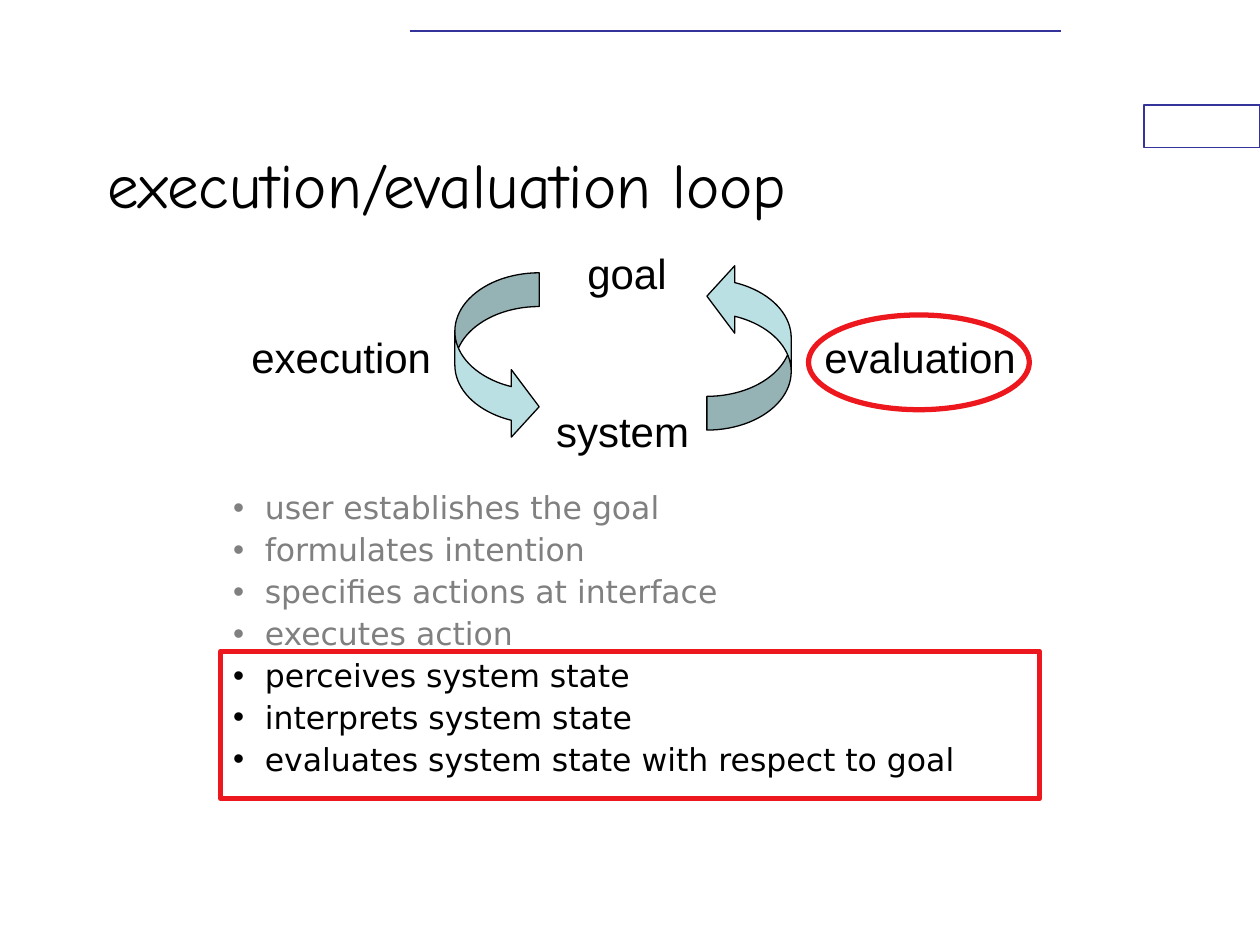
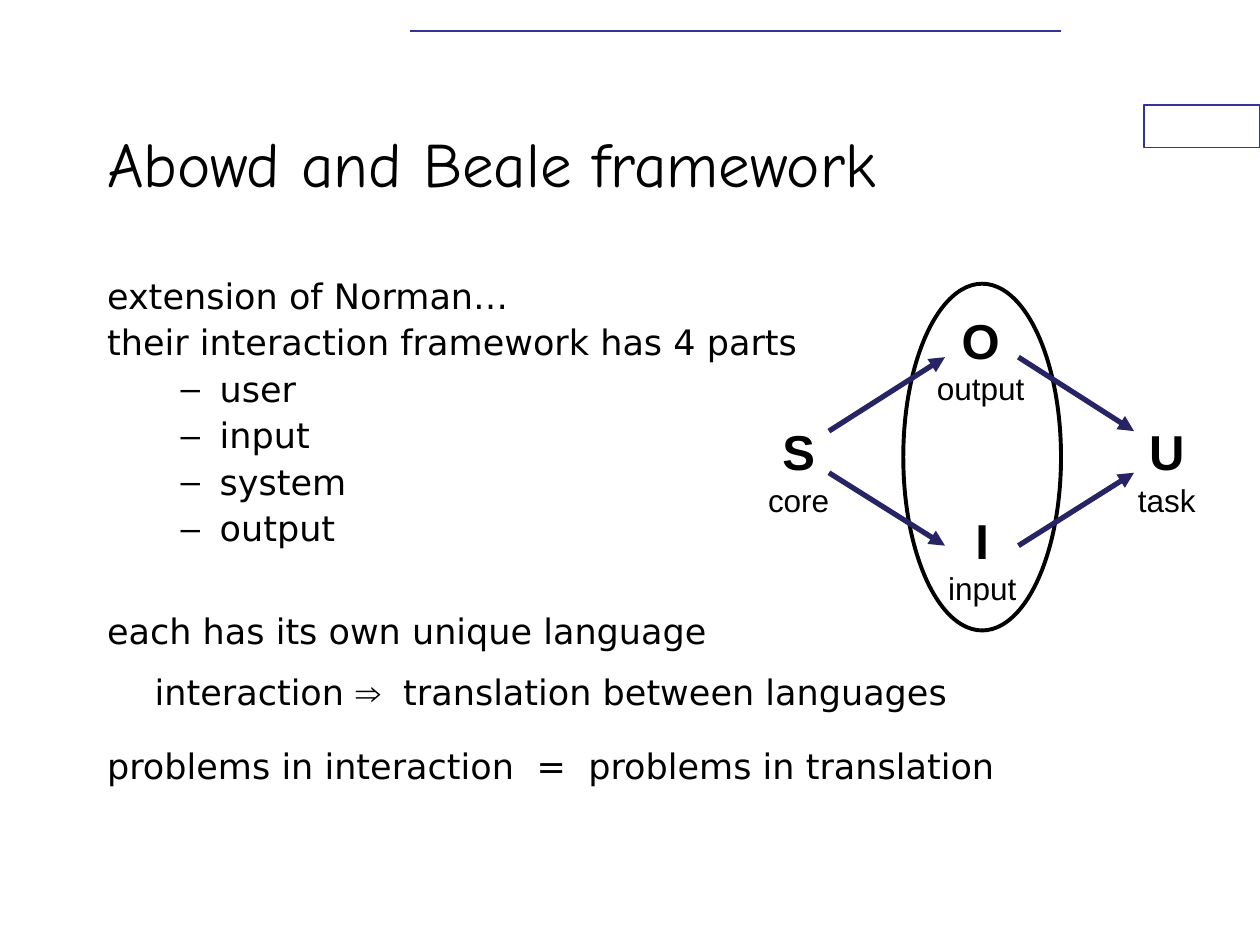
"""Build two slides on the execution/evaluation loop and the interaction framework."""
import pptx
import pptx.util
import pptx.dml.color
import pptx.enum.shapes
import pptx.enum.text
import lxml.etree
from pptx.oxml.ns import qn

Cm, Pt = pptx.util.Cm, pptx.util.Pt
SHAPE = pptx.enum.shapes.MSO_SHAPE
ALIGN = pptx.enum.text.PP_ALIGN
FIT = pptx.enum.text.MSO_AUTO_SIZE

COLOURS = {"ink": "000000", "faded": "808080", "paper": "FFFFFF", "band": "333399",
           "highlight": "ED181E", "loop": "BBE0E3", "flow": "262464"}
HEADING, BODY, LABEL = "Comic Neue", "DejaVu Sans", "Arial"

LOOP_LABELS = [("goal", 12.64, 4.87, 2.3), ("system", 12.55, 8.05, 3.4),
               ("execution", 6.88, 6.55, 4.5), ("evaluation", 18.55, 6.55, 4.7)]
LABEL_HEIGHT = 1.27
LOOP_ARROWS = [((9.17, 5.5, 1.7, 3.38), 0), ((14.25, 5.29, 1.7, 3.38), 180)]
EVALUATION_MARKS = [(SHAPE.OVAL, (16.3, 6.35, 4.45, 1.91)),
                    (SHAPE.RECTANGLE, (4.45, 13.13, 16.51, 2.97))]
EXECUTION_STEPS = ["user establishes the goal", "formulates intention",
                   "specifies actions at interface", "executes action"]
EVALUATION_STEPS = ["perceives system state", "interprets system state",
                    "evaluates system state with respect to goal"]

FRAMEWORK_INTRO = ["extension of Norman…", "their interaction framework has 4 parts"]
FRAMEWORK_PARTS = ["user", "input", "system", "output"]
NODES = [("S", "core", 16.1, 8.38), ("U", "task", 23.52, 8.38),
         ("O", "output", 19.77, 6.13), ("I", "input", 19.8, 10.16)]
NODE_WIDTH, NODE_HEIGHT = 2.6, 2.21
INTERFACE = (18.21, 5.72, 3.18, 6.99)
FLOWS = [((16.71, 8.69), (19.05, 7.2)), ((20.53, 7.2), (22.86, 8.69)),
         ((16.71, 9.53), (19.05, 11.0)), ((20.53, 11.0), (22.86, 9.53))]
WIDE_GAP = 6.36


def colour(name):
    """Return the named colour."""
    return pptx.dml.color.RGBColor.from_string(COLOURS[name])


def cms(values):
    """Convert centimetre values to lengths."""
    return [Cm(value) for value in values]


def write(frame, text, font=BODY, size=18, ink="ink", bold=False, align=ALIGN.LEFT,
          spacing=None, before=None, margin=0, indent=0, bullet=None, tracking=0,
          join=False):
    """Add text as a new paragraph, or join it to the last one."""
    line = frame.paragraphs[-1]
    if not join:
        if line.runs:
            line = frame.add_paragraph()
        line.alignment = align
        if spacing:
            line.line_spacing = spacing
        if before is not None:
            line.space_before = Pt(before)
        properties = line._p.get_or_add_pPr()
        properties.set("marL", str(Cm(margin)))
        properties.set("indent", str(Cm(indent)))
        if bullet:
            lxml.etree.SubElement(properties, qn("a:buFont"), typeface=LABEL)
            lxml.etree.SubElement(properties, qn("a:buChar"), char=bullet)
        else:
            lxml.etree.SubElement(properties, qn("a:buNone"))
    run = line.add_run()
    run.text = text
    run.font.name, run.font.size, run.font.bold = font, Pt(size), bold
    run.font.color.rgb = colour(ink)
    if tracking:
        run._r.get_or_add_rPr().set("spc", str(round(tracking * 100)))


def text_box(slide, place, wrap=False):
    """Add an empty text box and return its frame."""
    frame = slide.shapes.add_textbox(*cms(place)).text_frame
    frame.word_wrap = wrap
    frame.auto_size = FIT.NONE if wrap else FIT.SHAPE_TO_FIT_TEXT
    return frame


def centred_box(slide, centre, top, width, height):
    """Add a text box placed by its horizontal centre."""
    return text_box(slide, (centre - width / 2, top, width, height))


def outline(slide, kind, place, line, width, fill=None):
    """Add a preset shape with a line and an optional fill."""
    shape = slide.shapes.add_shape(kind, *cms(place))
    shape.shadow.inherit = False
    if fill:
        shape.fill.solid()
        shape.fill.fore_color.rgb = colour(fill)
    else:
        shape.fill.background()
    shape.line.color.rgb = colour(line)
    shape.line.width = Pt(width)
    return shape


def connect(slide, start, end, ink, width, arrow=False):
    """Draw a straight line, with an arrowhead at its end if asked."""
    line = slide.shapes.add_connector(pptx.enum.shapes.MSO_CONNECTOR.STRAIGHT,
                                      *cms(start + end))
    line.line.color.rgb = colour(ink)
    line.line.width = Pt(width)
    if arrow:
        lxml.etree.SubElement(line.line._get_or_add_ln(), qn("a:tailEnd"), type="triangle")
    lxml.etree.SubElement(line._element.spPr, qn("a:effectLst"))


def start_slide(deck, heading, top):
    """Add a slide with the shared band and title."""
    slide = deck.slides.add_slide(deck.slide_layouts[5])
    outline(slide, SHAPE.RECTANGLE, (23.06, 2.12, 2.34, 0.85), "band", 0.75, "paper")
    connect(slide, (8.26, 0.63), (21.38, 0.63), "band", 1)
    title = slide.shapes.title
    title.left, title.top, title.width, title.height = cms((1.91, top, 19.05, 3.18))
    frame = title.text_frame
    frame.auto_size = FIT.NONE
    frame.vertical_anchor = pptx.enum.text.MSO_ANCHOR.MIDDLE
    write(frame, heading, font=HEADING, size=36)
    return slide


def build_loop(deck):
    """Build the execution/evaluation loop slide."""
    slide = start_slide(deck, "execution/evaluation loop", 2.1)
    steps = text_box(slide, (1.91, 9.8, 21.59, 7.16), wrap=True)
    for group, ink in ((EXECUTION_STEPS, "faded"), (EVALUATION_STEPS, "ink")):
        for step in group:
            write(steps, step, ink=ink, spacing=0.9, before=4.5,
                  margin=3.18, indent=-0.64, bullet="•")
    for label, centre, top, width in LOOP_LABELS:
        write(centred_box(slide, centre, top, width, LABEL_HEIGHT), label,
              font=LABEL, size=24, align=ALIGN.CENTER)
    for place, turn in LOOP_ARROWS:
        arrow = outline(slide, SHAPE.CURVED_RIGHT_ARROW, place, "ink", 0.75, "loop")
        arrow.rotation = turn
        for index, share in enumerate((0.4, 0.8, 0.33)):
            arrow.adjustments[index] = share
    for kind, place in EVALUATION_MARKS:
        outline(slide, kind, place, "highlight", 3)


def build_framework(deck):
    """Build the interaction framework slide."""
    slide = start_slide(deck, "Abowd and Beale framework", 1.69)
    points = text_box(slide, (1.91, 5.5, 21.59, 11.43), wrap=True)
    style = {"size": 20, "spacing": 0.9}
    gap = {"size": 20, "tracking": WIDE_GAP, "join": True}
    for point in FRAMEWORK_INTRO:
        write(points, point, before=5, **style)
    for part in FRAMEWORK_PARTS:
        write(points, part, before=5, margin=2.27, indent=-0.79, bullet="–", **style)
    write(points, "each has its own unique language", before=36.8, **style)
    write(points, "interaction ", before=13.3, indent=0.96, **style)
    write(points, "⇒", font=LABEL, size=20, join=True)
    write(points, " ", **gap)
    write(points, "translation between languages", size=20, join=True)
    write(points, "problems in interaction", before=20.8, **style)
    for word in ("=", "problems in translation"):
        write(points, " ", **gap)
        write(points, word, size=20, join=True)

    outline(slide, SHAPE.OVAL, INTERFACE, "ink", 2.25)
    for letter, role, centre, top in NODES:
        node = centred_box(slide, centre, top, NODE_WIDTH, NODE_HEIGHT)
        write(node, letter, font=LABEL, size=28, bold=True, align=ALIGN.CENTER)
        write(node, role, font=LABEL, align=ALIGN.CENTER)
    for start, end in FLOWS:
        connect(slide, start, end, "flow", 3, arrow=True)


def main():
    """Build and save the deck."""
    deck = pptx.Presentation()
    deck.slide_width, deck.slide_height = cms((25.4, 19.05))
    build_loop(deck)
    build_framework(deck)
    deck.save("out.pptx")


if __name__ == "__main__":
    main()
